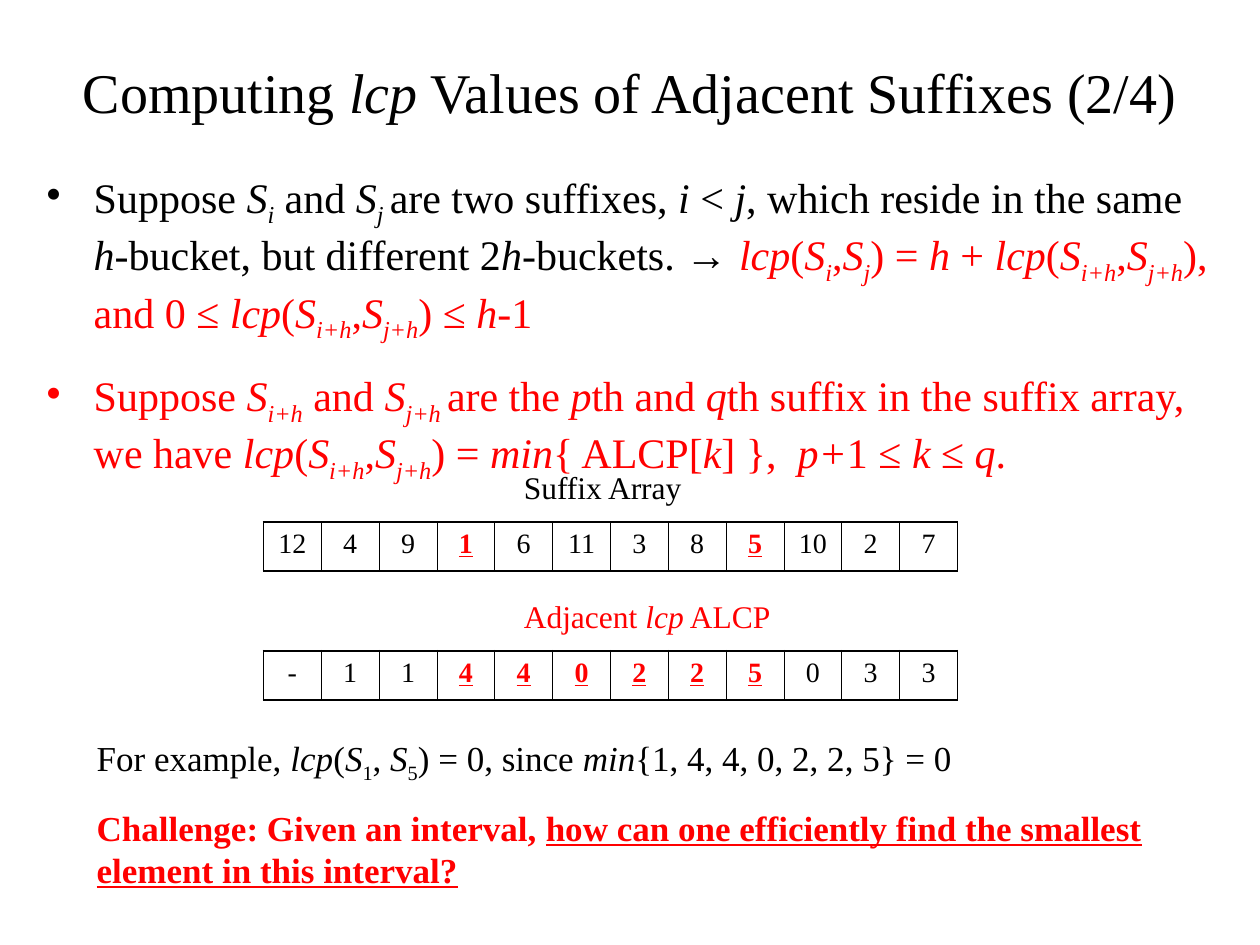
from dataclasses import dataclass

import lxml.etree
import pptx
import pptx.dml.color
import pptx.enum.text
import pptx.oxml.ns
import pptx.util

Cm = pptx.util.Cm
Pt = pptx.util.Pt
qn = pptx.oxml.ns.qn
PP_ALIGN = pptx.enum.text.PP_ALIGN
ANCHOR = pptx.enum.text.MSO_ANCHOR

FONT = "Times New Roman"
BLACK = "000000"
RED = "FF0000"
ITALIC, SUBSCRIPT, HIGHLIGHT, UNDERLINE, ARROW = "*~^_`"
MARKS = ITALIC + SUBSCRIPT + HIGHLIGHT + UNDERLINE + ARROW


@dataclass
class Line:
    markup: str
    color: str = BLACK
    bold: bool = False
    bullet: bool = False
    space_before: float = 0


@dataclass
class Box:
    left: float
    top: float
    width: float
    height: float
    size: int
    lines: list[Line]
    align: PP_ALIGN = PP_ALIGN.LEFT
    anchor: ANCHOR = ANCHOR.TOP


@dataclass
class ArrayRow:
    label: Line
    values: list[str]
    marked: set[int]


TITLE = Box(1.27, 0.76, 22.86, 2.16, 32,
            [Line("Computing *lcp* Values of Adjacent Suffixes (2/4)")],
            PP_ALIGN.CENTER, ANCHOR.MIDDLE)

BODY = Box(0.69, 3.33, 24, 6.58, 24, [
    Line("Suppose *S~i~* and *S~j ~*are two suffixes, *i* < *j*, which reside in the same "
         "*h*-bucket, but different 2*h*-buckets. `→ `^*lcp*(*S~i~*,*S~j~*) = *h* + "
         "*lcp*(*S~i+h~*,*S~j+h~*), and 0 ≤ *lcp*(*S~i+h~*,*S~j+h~*) ≤ *h*-1^",
         bullet=True),
    Line("Suppose *S~i+h~* and *S~j+h ~*are the *p*th and *q*th suffix in the suffix array, "
         "we have *lcp*(*S~i+h~*,*S~j+h~*) = *min*{ ALCP[*k*] },  *p+*1 ≤ *k* ≤ *q*.",
         RED, bullet=True, space_before=15),
])

EXAMPLE = Box(1.7, 14.73, 22.4, 3.35, 20, [
    Line("For example, *lcp*(*S*~1~, *S*~5~) = 0, since *min*{1, 4, 4, 0, 2, 2, 5} = 0"),
    Line("Challenge: Given an interval, _how can one efficiently find the smallest "
         "element in this interval?_", RED, bold=True, space_before=12.5),
])

ARRAYS = [
    ArrayRow(Line("Suffix Array"), "12 4 9 1 6 11 3 8 5 10 2 7".split(), {3, 8}),
    ArrayRow(Line("Adjacent *lcp* ALCP", RED), "- 1 1 4 4 0 2 2 5 0 3 3".split(),
             set(range(3, 9))),
]
LABEL_LEFT, LABEL_TOP, LABEL_WIDTH, LABEL_HEIGHT = 10.31, 9.32, 6.4, 1.02
TABLE_LEFT, TABLE_TOP, TABLE_WIDTH, TABLE_HEIGHT = 5.31, 10.52, 14, 0.99
ARRAY_PITCH = 2.6


def rgb(color: str) -> pptx.dml.color.RGBColor:
    return pptx.dml.color.RGBColor.from_string(color)


def add_run(paragraph, text: str, active: set[str]) -> None:
    run = paragraph.add_run()
    run.text = text
    if ITALIC in active:
        run.font.italic = True
    if UNDERLINE in active:
        run.font.underline = True
    if HIGHLIGHT in active:
        run.font.color.rgb = rgb(RED)
    if ARROW in active:
        run.font.name = "Arial"
    if SUBSCRIPT in active:
        run._r.get_or_add_rPr().set("baseline", "-25000")


def add_bullet(paragraph, color: str) -> None:
    properties = paragraph._p.get_or_add_pPr()
    properties.set("marL", str(Cm(0.95)))
    properties.set("indent", str(-Cm(0.95)))
    bullet_color = lxml.etree.SubElement(properties, qn("a:buClr"))
    lxml.etree.SubElement(bullet_color, qn("a:srgbClr"), val=color)
    lxml.etree.SubElement(properties, qn("a:buChar"), char="•")


def write_line(paragraph, line: Line, size: int, align: PP_ALIGN) -> None:
    paragraph.alignment = align
    if line.space_before:
        paragraph.space_before = Pt(line.space_before)
    if line.bullet:
        add_bullet(paragraph, line.color)
    font = paragraph.font
    font.name, font.size, font.bold = FONT, Pt(size), line.bold
    font.color.rgb = rgb(line.color)
    active, text = set(), ""
    for character in line.markup:
        if character not in MARKS:
            text += character
            continue
        if text:
            add_run(paragraph, text, active)
            text = ""
        active ^= {character}
    if text:
        add_run(paragraph, text, active)


def add_box(slide, box: Box) -> None:
    shape = slide.shapes.add_textbox(Cm(box.left), Cm(box.top), Cm(box.width), Cm(box.height))
    frame = shape.text_frame
    frame.word_wrap = True
    frame.vertical_anchor = box.anchor
    for index, line in enumerate(box.lines):
        paragraph = frame.add_paragraph() if index else frame.paragraphs[0]
        write_line(paragraph, line, box.size, box.align)


def set_borders(cell, widths: dict[str, float]) -> None:
    properties = cell._tc.get_or_add_tcPr()
    for side, width in widths.items():
        border = lxml.etree.SubElement(properties, qn(f"a:ln{side}"), w=str(Pt(width)))
        fill = lxml.etree.SubElement(border, qn("a:solidFill"))
        lxml.etree.SubElement(fill, qn("a:srgbClr"), val=BLACK)


def add_array(slide, array: ArrayRow, offset: float) -> None:
    count = len(array.values)
    table = slide.shapes.add_table(1, count, Cm(TABLE_LEFT), Cm(TABLE_TOP + offset),
                                   Cm(TABLE_WIDTH), Cm(TABLE_HEIGHT)).table
    table.first_row = table.horz_banding = False
    outer, inner = 1.08, 0.45
    for index, value in enumerate(array.values):
        table.columns[index].width = Cm(TABLE_WIDTH / count)
        cell = table.cell(0, index)
        set_borders(cell, {"L": inner if index else outer,
                           "R": inner if index < count - 1 else outer,
                           "T": outer, "B": outer})
        cell.fill.background()
        marked = index in array.marked
        line = Line(f"_{value}_", RED, bold=True) if marked else Line(value)
        write_line(cell.text_frame.paragraphs[0], line, 16, PP_ALIGN.CENTER)
    add_box(slide, Box(LABEL_LEFT, LABEL_TOP + offset, LABEL_WIDTH, LABEL_HEIGHT, 18,
                       [array.label]))


def main() -> None:
    presentation = pptx.Presentation()
    presentation.slide_width, presentation.slide_height = Cm(25.4), Cm(19.05)
    slide = presentation.slides.add_slide(presentation.slide_layouts[6])
    add_box(slide, TITLE)
    add_box(slide, BODY)
    for index, array in enumerate(ARRAYS):
        add_array(slide, array, index * ARRAY_PITCH)
    add_box(slide, EXAMPLE)
    presentation.save("out.pptx")


if __name__ == "__main__":
    main()
